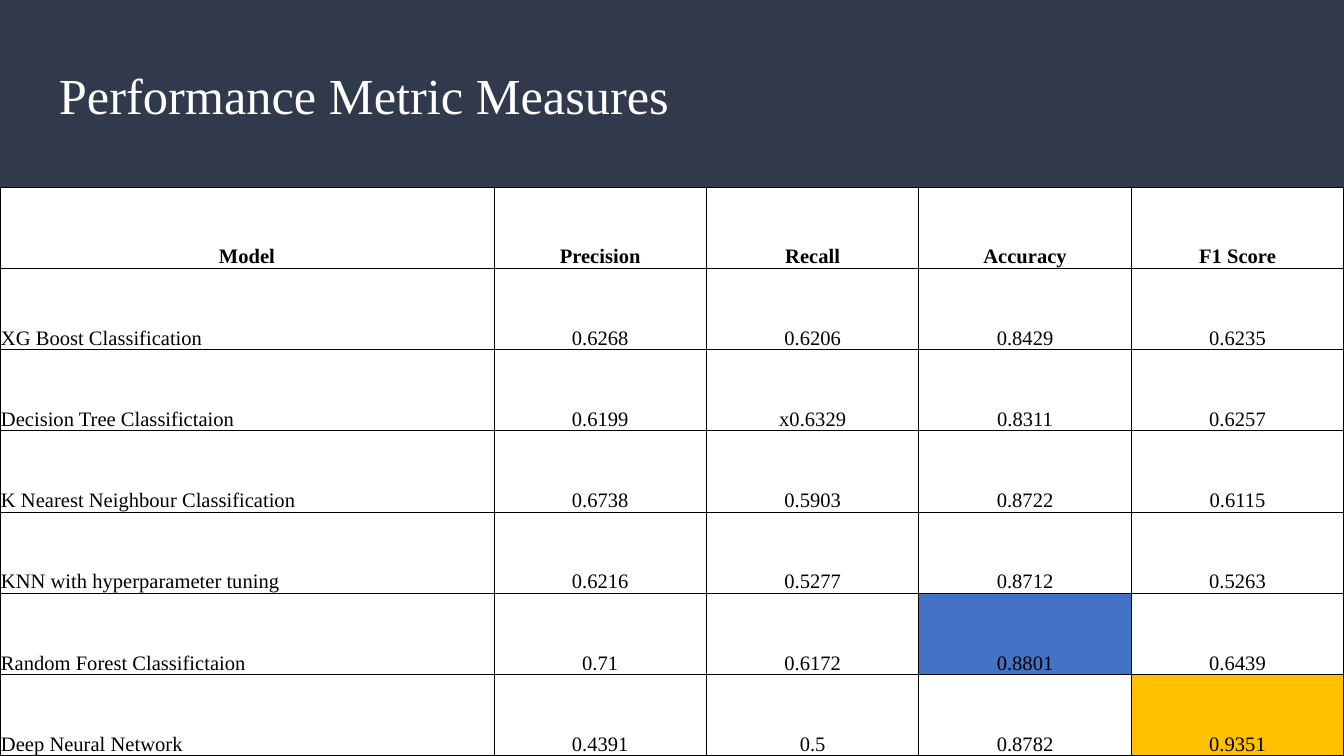
from lxml.etree import SubElement
from pptx import Presentation
from pptx.dml.color import RGBColor
from pptx.enum.shapes import MSO_SHAPE
from pptx.enum.text import MSO_ANCHOR, PP_ALIGN
from pptx.oxml.ns import qn
from pptx.util import Emu, Pt

SLIDE_W, SLIDE_H = 1344, 756
EMU_PER_PX = 9144000 / SLIDE_W
BANNER_H = 188
TABLE_TOP = 187
MODEL_W = 494
FONT = "Times New Roman"

NAVY = RGBColor(0x31, 0x39, 0x4D)
WHITE = RGBColor(0xFF, 0xFF, 0xFF)
BLACK = RGBColor(0x00, 0x00, 0x00)
BLUE = RGBColor(0x44, 0x72, 0xC4)
GOLD = RGBColor(0xFF, 0xC0, 0x00)

METRICS = [
    ("Model", "Precision", "Recall", "Accuracy", "F1 Score"),
    ("XG Boost Classification", "0.6268", "0.6206", "0.8429", "0.6235"),
    ("Decision Tree Classifictaion", "0.6199", "x0.6329", "0.8311", "0.6257"),
    ("K Nearest Neighbour Classification", "0.6738", "0.5903", "0.8722", "0.6115"),
    ("KNN with hyperparameter tuning", "0.6216", "0.5277", "0.8712", "0.5263"),
    ("Random Forest Classifictaion", "0.71", "0.6172", "0.8801", "0.6439"),
    ("Deep Neural Network", "0.4391", "0.5", "0.8782", "0.9351"),
]
BEST_SCORES = {(5, 3): BLUE, (6, 4): GOLD}


def px(length):
    return Emu(round(length * EMU_PER_PX))


def write_text(frame, text, *, size, color, bold=False, align=PP_ALIGN.LEFT):
    paragraph = frame.paragraphs[0]
    paragraph.alignment = align
    run = paragraph.add_run()
    run.text = text
    font = run.font
    font.name, font.size, font.bold = FONT, Pt(size), bold
    font.color.rgb = color


def set_margins(holder, left, top, right, bottom):
    holder.margin_left, holder.margin_top = px(left), px(top)
    holder.margin_right, holder.margin_bottom = px(right), px(bottom)


def add_banner(slide):
    banner = slide.shapes.add_shape(MSO_SHAPE.RECTANGLE, 0, 0, px(SLIDE_W), px(BANNER_H))
    banner.shadow.inherit = False
    banner.fill.solid()
    banner.fill.fore_color.rgb = NAVY
    banner.line.fill.background()


def add_title(slide, text):
    title = slide.shapes.add_textbox(px(46), px(48), px(1252), px(92))
    frame = title.text_frame
    frame.word_wrap = True
    frame.vertical_anchor = MSO_ANCHOR.MIDDLE
    set_margins(frame, 13, 13, 13, 13)
    write_text(frame, text, size=27, color=WHITE)


def add_borders(cell, color, width):
    properties = cell._tc.get_or_add_tcPr()
    for side in ("a:lnL", "a:lnR", "a:lnT", "a:lnB"):
        line = SubElement(properties, qn(side), w=str(Pt(width)))
        fill = SubElement(line, qn("a:solidFill"))
        SubElement(fill, qn("a:srgbClr"), val=str(color))


def format_cell(cell, text, fill, **text_format):
    set_margins(cell, 1, 1, 1, 0)
    cell.vertical_anchor = MSO_ANCHOR.BOTTOM
    add_borders(cell, BLACK, 0.5)
    cell.fill.solid()
    cell.fill.fore_color.rgb = fill
    write_text(cell.text_frame, text, size=11, color=BLACK, **text_format)


def add_metrics_table(slide):
    row_count, column_count = len(METRICS), len(METRICS[0])
    table = slide.shapes.add_table(
        row_count, column_count, 0, px(TABLE_TOP), px(SLIDE_W), px(SLIDE_H - TABLE_TOP)
    ).table
    table.first_row = table.horz_banding = False
    score_w = (SLIDE_W - MODEL_W) / (column_count - 1)
    for c, column in enumerate(table.columns):
        column.width = px(score_w if c else MODEL_W)
    for r, record in enumerate(METRICS):
        for c, text in enumerate(record):
            is_model_name = r > 0 and c == 0
            format_cell(
                table.cell(r, c),
                text,
                BEST_SCORES.get((r, c), WHITE),
                bold=r == 0,
                align=PP_ALIGN.LEFT if is_model_name else PP_ALIGN.CENTER,
            )


def main():
    deck = Presentation()
    deck.slide_width, deck.slide_height = px(SLIDE_W), px(SLIDE_H)
    slide = deck.slides.add_slide(deck.slide_layouts[6])
    add_banner(slide)
    add_title(slide, "Performance Metric Measures")
    add_metrics_table(slide)
    deck.save("out.pptx")


if __name__ == "__main__":
    main()
